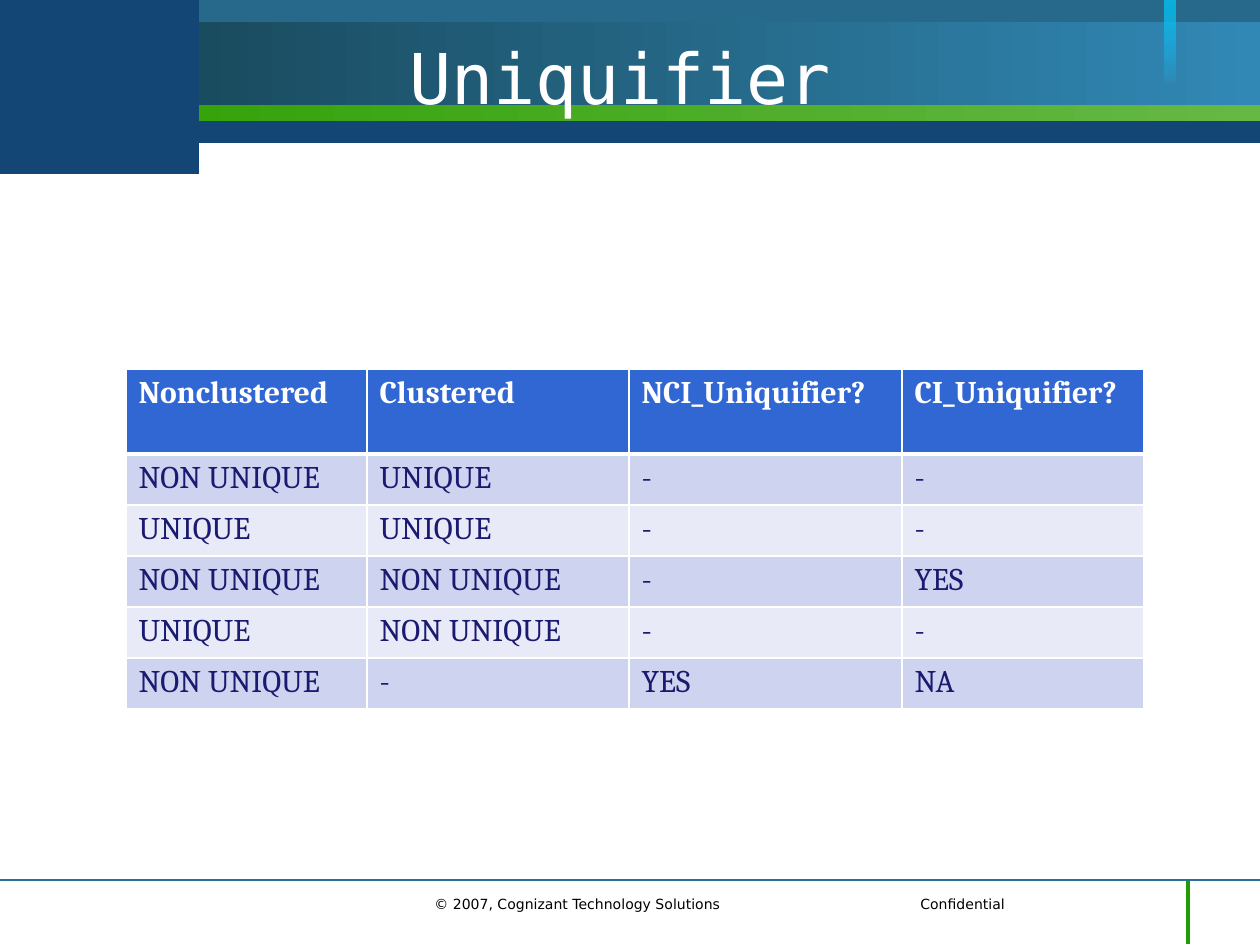
from lxml.etree import SubElement
from pptx import Presentation
from pptx.dml.color import RGBColor
from pptx.enum.shapes import MSO_CONNECTOR, MSO_SHAPE
from pptx.enum.text import MSO_ANCHOR, PP_ALIGN
from pptx.oxml import parse_xml
from pptx.oxml.ns import nsdecls, qn
from pptx.util import Pt

PX = 914400 // 126
WIDTH, HEIGHT = 1260, 945

WHITE = RGBColor(0xFF, 0xFF, 0xFF)
BLACK = RGBColor(0x00, 0x00, 0x00)
NAVY = RGBColor(0x13, 0x45, 0x75)
TEAL = RGBColor(0x26, 0x69, 0x8A)
BAND_DARK = RGBColor(0x16, 0x40, 0x4F)
BAND_LIGHT = RGBColor(0x31, 0x88, 0xB5)
GREEN_DARK = RGBColor(0x2D, 0x9F, 0x01)
GREEN_LIGHT = RGBColor(0x66, 0xB8, 0x45)
CYAN = RGBColor(0x00, 0xCC, 0xFF)
RULE_BLUE = RGBColor(0x28, 0x70, 0x94)
RULE_GREEN = RGBColor(0x20, 0x9D, 0x03)
HEADER_BLUE = RGBColor(0x31, 0x67, 0xD3)
ROW_FILLS = (RGBColor(0xCE, 0xD3, 0xEF), RGBColor(0xE8, 0xEB, 0xF7))
CELL_TEXT = RGBColor(0x1A, 0x1A, 0x70)

SERIF, SANS, MONO = "Cambria", "DejaVu Sans", "DejaVu Sans Mono"

COLUMN_WIDTHS = (241, 262, 273, 242)
HEADER_HEIGHT, ROW_HEIGHT = 85, 51
ROWS = (
    ("Nonclustered", "Clustered", "NCI_Uniquifier?", "CI_Uniquifier?"),
    ("NON UNIQUE", "UNIQUE", "-", "-"),
    ("UNIQUE", "UNIQUE", "-", "-"),
    ("NON UNIQUE", "NON UNIQUE", "-", "YES"),
    ("UNIQUE", "NON UNIQUE", "-", "-"),
    ("NON UNIQUE", "-", "YES", "NA"),
)


def emu(*lengths):
    return [length * PX for length in lengths]


def add_bar(slide, box, *colors, angle=0):
    """Add a rectangle with a plain fill or a gradient of two colours."""
    shape = slide.shapes.add_shape(MSO_SHAPE.RECTANGLE, *emu(*box))
    shape.shadow.inherit = False
    shape.line.fill.background()
    if len(colors) == 1:
        shape.fill.solid()
        shape.fill.fore_color.rgb = colors[0]
    else:
        shape.fill.gradient()
        shape.fill.gradient_angle = angle
        for stop, color in zip(shape.fill.gradient_stops, colors):
            stop.color.rgb = color
    return shape


def add_rule(slide, start, end, color, width):
    rule = slide.shapes.add_connector(MSO_CONNECTOR.STRAIGHT, *emu(*start, *end))
    rule.line.color.rgb = color
    rule.line.width = Pt(width)
    SubElement(rule._element.spPr, qn("a:effectLst"))


def add_run(paragraph, text, font_name, size, color, bold=False):
    run = paragraph.add_run()
    run.text = text
    run.font.name = font_name
    run.font.size = Pt(size)
    run.font.bold = bold
    run.font.color.rgb = color


def add_banner(slide, left, top, width):
    block_width = 199
    right_width = width - block_width
    add_bar(slide, (left, top + 1, width, 142), NAVY)
    add_bar(slide, (left + block_width, top, right_width, 121), TEAL)
    add_bar(slide, (left, top + 88, width, 33), GREEN_DARK, GREEN_LIGHT)
    add_bar(slide, (left, top + 22, width, 83), BAND_DARK, BAND_LIGHT)
    add_bar(slide, (left, top, block_width, 174), NAVY)
    accent = add_bar(slide, (left + 1165, top, 11, 84), CYAN, BAND_LIGHT, angle=270)
    first_color = accent._element.spPr.find(".//" + qn("a:srgbClr"))
    SubElement(first_color, qn("a:alpha"), val="70000")


def add_title(slide, left, top, width, height):
    frame = slide.shapes.add_textbox(*emu(left, top, width, height)).text_frame
    frame.word_wrap = True
    frame.vertical_anchor = MSO_ANCHOR.MIDDLE
    paragraph = frame.paragraphs[0]
    paragraph.alignment = PP_ALIGN.CENTER
    add_run(paragraph, "Uniquifier", MONO, 40, WHITE)


def set_borders(cell, top_width, bottom_width):
    properties = cell._tc.get_or_add_tcPr()
    widths = {"lnL": 1, "lnR": 1, "lnT": top_width, "lnB": bottom_width}
    for index, (side, width) in enumerate(widths.items()):
        properties.insert(index, parse_xml(
            f'<a:{side} {nsdecls("a")} w="{Pt(width)}"><a:solidFill>'
            f'<a:srgbClr val="{WHITE}"/></a:solidFill></a:{side}>'))


def add_uniquifier_table(slide, left, top):
    heights = [HEADER_HEIGHT] + [ROW_HEIGHT] * (len(ROWS) - 1)
    box = emu(left, top, sum(COLUMN_WIDTHS), sum(heights))
    table = slide.shapes.add_table(len(ROWS), len(COLUMN_WIDTHS), *box).table
    for column, width in zip(table.columns, COLUMN_WIDTHS):
        column.width = width * PX
    for row_index, (row, height, texts) in enumerate(zip(table.rows, heights, ROWS)):
        row.height = height * PX
        header = row_index == 0
        for cell, text in zip(row.cells, texts):
            cell.fill.solid()
            cell.fill.fore_color.rgb = HEADER_BLUE if header else ROW_FILLS[(row_index - 1) % 2]
            set_borders(cell, 3 if row_index == 1 else 1, 3 if header else 1)
            add_run(cell.text_frame.paragraphs[0], text, SERIF, 18,
                    WHITE if header else CELL_TEXT, bold=header)


def add_footer(slide, left, top, width):
    add_rule(slide, (left + width, top), (left, top), RULE_BLUE, 0.75)
    frame = slide.shapes.add_textbox(*emu(left + 422, top + 9, 685, 47)).text_frame
    frame.word_wrap = False
    paragraph = frame.paragraphs[0]
    tabs = SubElement(paragraph._p.get_or_add_pPr(), qn("a:tabLst"))
    SubElement(tabs, qn("a:tab"), pos=str(486 * PX), algn="l")
    add_run(paragraph, "© 2007, Cognizant Technology Solutions\tConfidential", SANS, 8, BLACK)
    add_rule(slide, (left + 1188, top + 1), (left + 1188, top + 64), RULE_GREEN, 2)


def main():
    presentation = Presentation()
    presentation.slide_width, presentation.slide_height = emu(WIDTH, HEIGHT)
    slide = presentation.slides.add_slide(presentation.slide_layouts[6])
    add_banner(slide, 0, 0, WIDTH)
    add_footer(slide, 0, 880, WIDTH)
    add_title(slide, 136, -2, 968, 157)
    add_uniquifier_table(slide, 126, 369)
    presentation.save("out.pptx")


if __name__ == "__main__":
    main()
